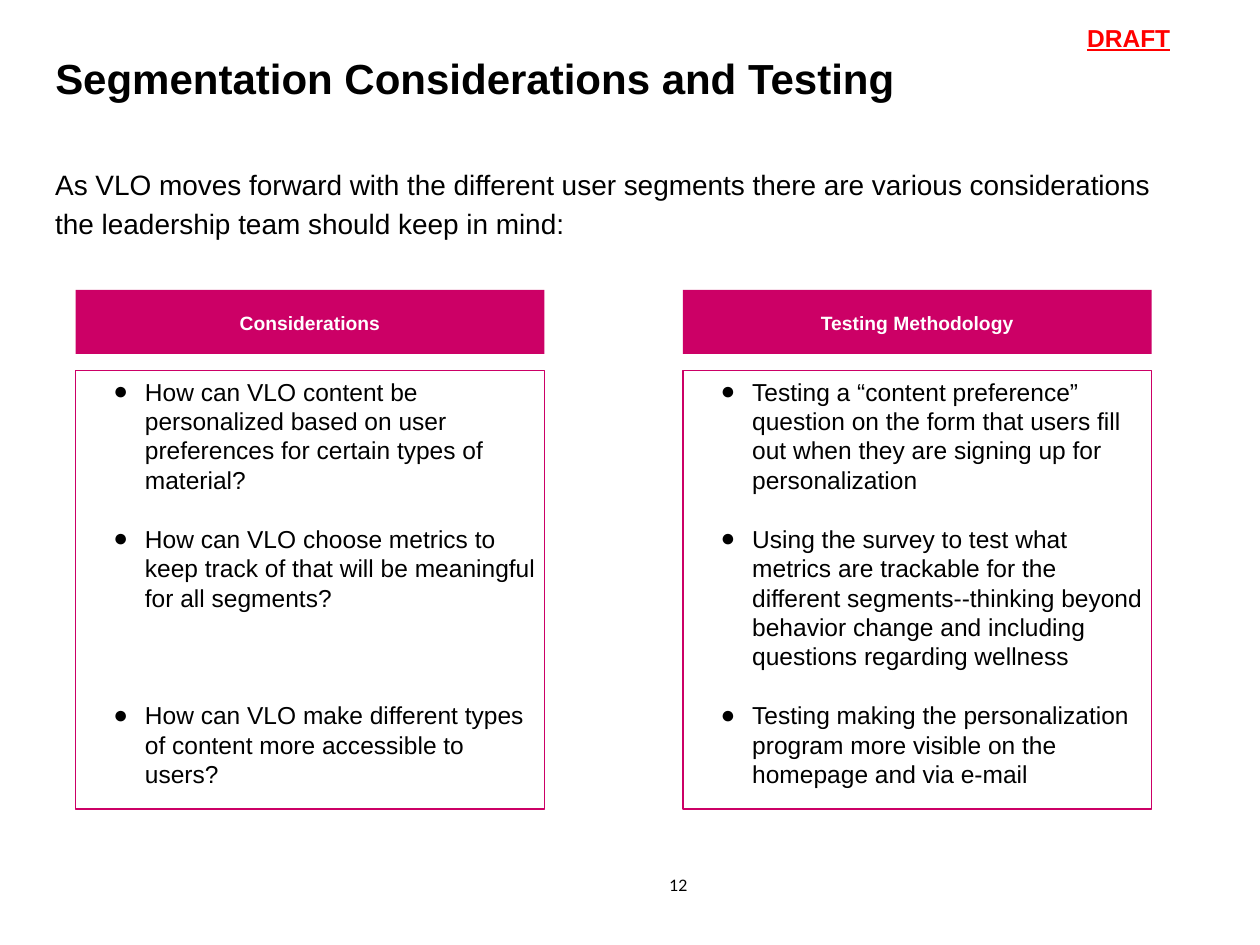
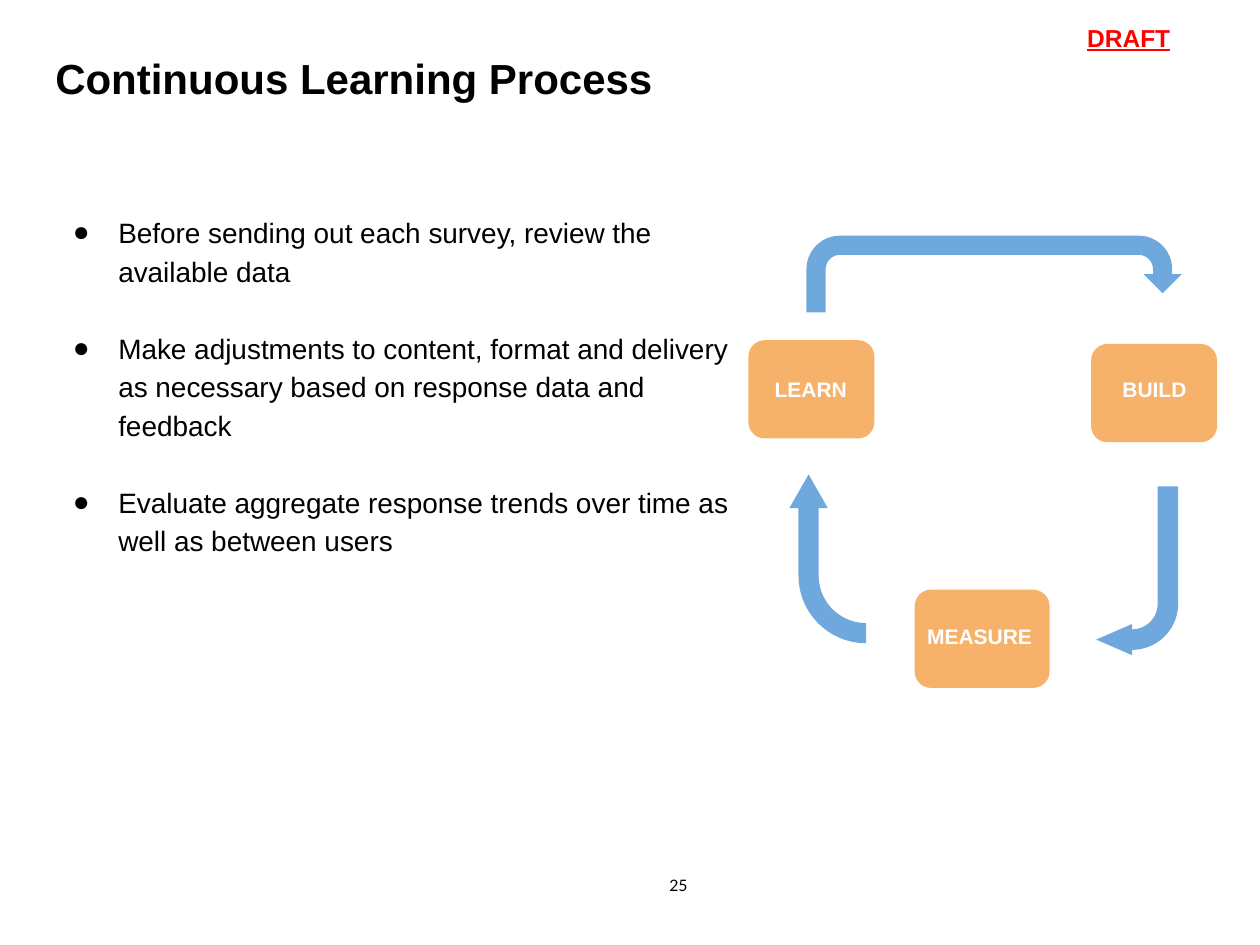
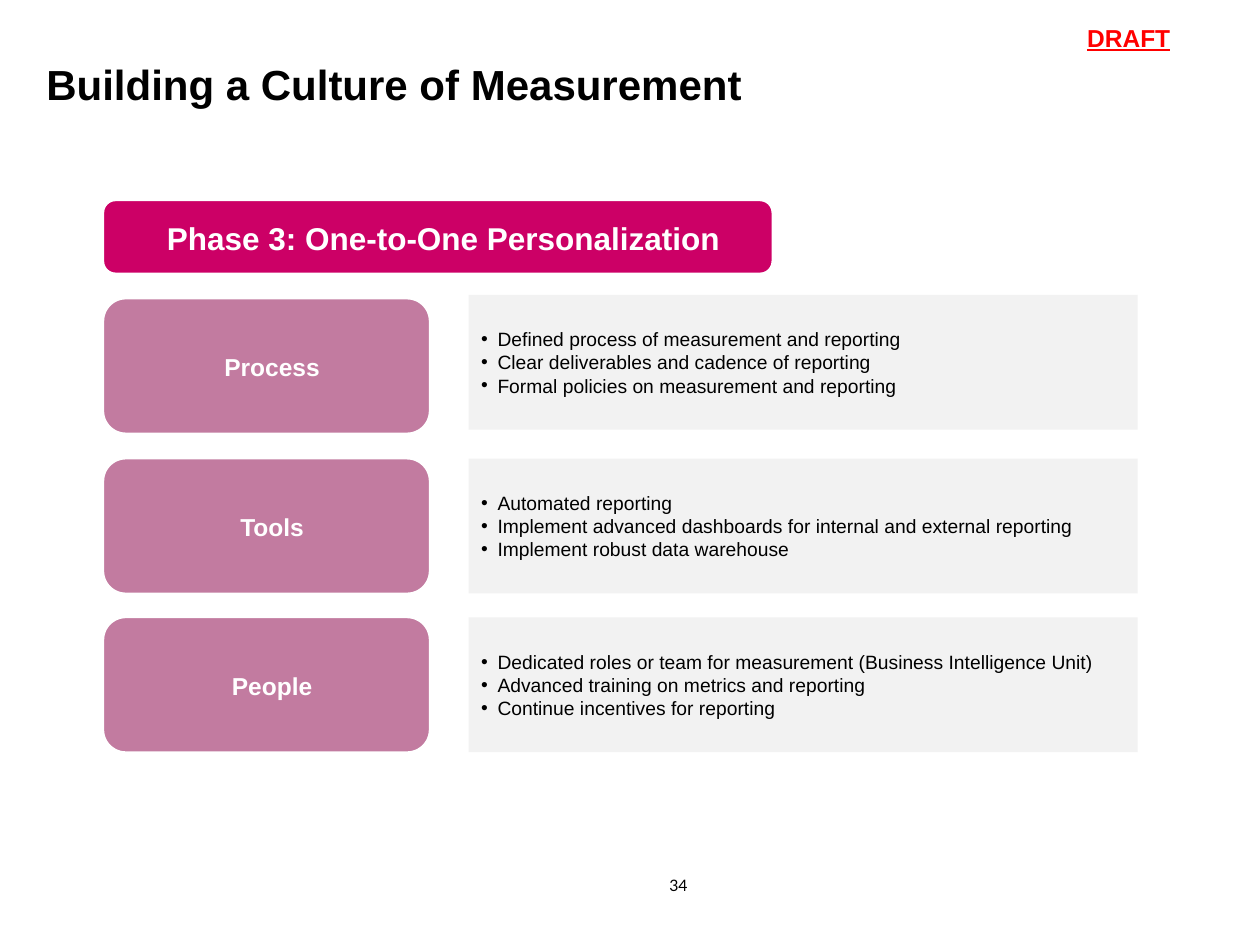
"""Build three slides on segmentation, learning and measurement."""
import pptx
import pptx.dml.color
import pptx.enum.shapes
import pptx.enum.text
import pptx.oxml.ns
import pptx.util
from lxml import etree

Inches = pptx.util.Inches
Pt = pptx.util.Pt
KIND = pptx.enum.shapes.MSO_SHAPE
ALIGN = pptx.enum.text.PP_ALIGN
ANCHOR = pptx.enum.text.MSO_ANCHOR

HUES = {
    "ink": "000000", "white": "FFFFFF", "draft": "FF0000", "pink": "CC0066",
    "mauve": "C27BA0", "pale": "F2F2F2", "amber": "F6B26B", "blue": "6FA8DC",
}
EVEN = (0.1, 0.1, 0.1, 0.1)
FLAT = (0.1, 0.05, 0.1, 0.05)
SLIM = (0.05, 0.05, 0.05, 0.05)
LABEL = (0.18, 0.04, 0.09, 0.04)
ROUND = [0.167]

TOPICS = [
    ("Considerations", [16.8, 50.4], [
        "How can VLO content be personalized based on user preferences for certain types of material?",
        "How can VLO choose metrics to keep track of that will be meaningful for all segments?",
        "How can VLO make different types of content more accessible to users?",
    ]),
    ("Testing Methodology", [16.8, 16.8], [
        "Testing a “content preference” question on the form that users fill out when they are signing up for personalization",
        "Using the survey to test what metrics are trackable for the different segments--thinking beyond behavior change and including questions regarding wellness",
        "Testing making the personalization program more visible on the homepage and via e-mail",
    ]),
]
STEPS = [
    "Before sending out each survey, review the available data",
    "Make adjustments to content, format and delivery as necessary based on response data and feedback",
    "Evaluate aggregate response trends over time as well as between users",
]
STAGES = [
    ("BUILD", (8.66, 2.73, 1, 0.78), (8.81, 2.89, 0.8, 0.52)),
    ("MEASURE", (7.26, 4.68, 1.07, 0.78), (7.26, 4.85, 1.07, 0.45)),
    ("LEARN", (5.94, 2.7, 1, 0.78), (6.05, 2.89, 0.8, 0.52)),
]
ARROWS = [
    (KIND.BENT_ARROW, (5.9, 4.13, 1.34, 0.61), 270, [0.263, 0.25, 0.438, 0.881]),
    (KIND.U_TURN_ARROW, (6.4, 1.87, 2.98, 0.61), 0, [0.25, 0.25, 0.25, 0.438, 0.75]),
    (KIND.BENT_ARROW, (8.7, 3.86, 0.65, 1.34), 180, [0.25, 0.191, 0.438, 0.562]),
]
PILLARS = [
    ("Process", 2.37, 2.34, [
        "Defined process of measurement and reporting",
        "Clear deliverables and cadence of reporting",
        "Formal policies on measurement and reporting",
    ]),
    ("Tools", 3.64, 3.64, [
        "Automated reporting",
        "Implement advanced dashboards for internal and external reporting",
        "Implement robust data warehouse",
    ]),
    ("People", 4.9, 4.9, [
        "Dedicated roles or team for measurement (Business Intelligence Unit)",
        "Advanced training on metrics and reporting",
        "Continue incentives for reporting",
    ]),
]


def style(item, values):
    """Set each named value on an item."""
    for name, value in values.items():
        setattr(item, name, value)


def tint(name):
    """Return the colour with this name."""
    return pptx.dml.color.RGBColor.from_string(HUES[name])


def bullet(para, mark, left, hang):
    """Give a paragraph a bullet and a hanging indent."""
    props = para._p.get_or_add_pPr()
    props.set("marL", str(Inches(left)))
    props.set("indent", str(-Inches(hang)))
    for tag, key, value in (("a:buFont", "typeface", "Arial"), ("a:buChar", "char", mark)):
        etree.SubElement(props, pptx.oxml.ns.qn(tag)).set(key, value)


def write(shape, lines, size, hue="ink", pad=EVEN, anchor=ANCHOR.TOP, align=ALIGN.LEFT,
          space=None, gaps=(), mark=None, face="Arial", **font):
    """Fill a shape with formatted paragraphs."""
    frame = shape.text_frame
    sides = ("margin_left", "margin_top", "margin_right", "margin_bottom")
    style(frame, dict(zip(sides, map(Inches, pad)), word_wrap=True, vertical_anchor=anchor))
    for at, line in enumerate(lines):
        para = frame.paragraphs[0] if at == 0 else frame.add_paragraph()
        style(para, {"alignment": align, "line_spacing": space})
        if at and gaps:
            para.space_before = Pt(gaps[at - 1])
        if mark:
            bullet(para, *mark)
        run = para.add_run()
        run.text = line
        style(run.font, {"name": face, "size": Pt(size), **font})
        run.font.color.rgb = tint(hue)


def note(slide, spot, lines, size, **look):
    """Add a text box."""
    write(slide.shapes.add_textbox(*map(Inches, spot)), lines, size, **look)


def block(slide, kind, spot, fill=None, line=None, width=1, turn=0, bends=()):
    """Add a preset shape with a plain fill and outline."""
    shape = slide.shapes.add_shape(kind, *map(Inches, spot))
    shape.shadow.inherit = False
    shape.rotation = turn
    for at, bend in enumerate(bends):
        shape.adjustments[at] = bend
    if fill:
        shape.fill.solid()
        shape.fill.fore_color.rgb = tint(fill)
    else:
        shape.fill.background()
    if line:
        shape.line.color.rgb = tint(line)
        shape.line.width = Pt(width)
    else:
        shape.line.fill.background()
    return shape


def label(slide, spot, text, size, fill):
    """Add a rounded label with a white outline."""
    shape = block(slide, KIND.ROUNDED_RECTANGLE, spot, fill, "white", bends=ROUND)
    write(shape, [text], size, hue="white", pad=LABEL, anchor=ANCHOR.MIDDLE,
          align=ALIGN.CENTER, space=1.06, bold=True)


def start(deck, title, page, spot=(0.34, 0.32, 9.32, 0.61), **look):
    """Add a slide with its draft stamp, title and page number."""
    slide = deck.slides.add_slide(deck.slide_layouts[6])
    note(slide, (8.53, 0.08, 1.14, 0.41), ["DRAFT"], 14, hue="draft", bold=True, underline=True)
    note(slide, spot, [title], 24, bold=True, **look)
    note(slide, (4.22, 6.9, 2.33, 0.52), [page], 9, pad=FLAT, align=ALIGN.CENTER, face="Lato")
    return slide


def segments(deck):
    """Build the slide of considerations and tests."""
    slide = start(deck, "Segmentation Considerations and Testing", "12")
    intro = ("As VLO moves forward with the different user segments there are "
             "various considerations the leadership team should keep in mind:")
    note(slide, (0.34, 1.19, 9.26, 5.68), [intro], 16, space=1.15)
    for at, (head, gaps, lines) in enumerate(TOPICS):
        left = 0.6 + 4.82 * at
        band = block(slide, KIND.RECTANGLE, (left, 2.3, 3.72, 0.51), "pink")
        write(band, [head], 11, hue="white", pad=SLIM, anchor=ANCHOR.MIDDLE,
              align=ALIGN.CENTER, space=1.06, bold=True)
        box = block(slide, KIND.RECTANGLE, (left, 2.94, 3.72, 3.48), line="pink", width=0.75)
        write(box, lines, 14, pad=SLIM, gaps=gaps, mark=("●", 0.5, 0.25))


def learning(deck):
    """Build the slide of the learning cycle."""
    slide = start(deck, "Continuous Learning Process", "25")
    note(slide, (0.34, 1.3, 5.55, 5.32), STEPS, 16, pad=(0.1, 0.37, 0.1, 0.1),
         space=1.15, gaps=[22, 22], mark=("●", 0.5, 0.36))
    for text, spot, place in STAGES:
        block(slide, KIND.ROUNDED_RECTANGLE, spot, "amber", bends=ROUND)
        note(slide, place, [text], 12, hue="white", bold=True)
    for kind, spot, turn, bends in ARROWS:
        block(slide, kind, spot, "blue", turn=turn, bends=bends)


def culture(deck):
    """Build the slide of measurement pillars."""
    slide = start(deck, "Building a Culture of Measurement", "34",
                  (0.27, 0.41, 9.14, 0.51), pad=FLAT, anchor=ANCHOR.MIDDLE)
    for name, top, side, lines in PILLARS:
        label(slide, (0.82, top, 2.59, 1.07), name, 14, "mauve")
        panel = block(slide, KIND.RECTANGLE, (3.72, side, 5.31, 1.07), "pale")
        write(panel, lines, 11, pad=FLAT, anchor=ANCHOR.MIDDLE, mark=("•", 0.13, 0.13))
    label(slide, (0.82, 1.59, 5.31, 0.58), "Phase 3: One-to-One Personalization", 18, "pink")


def main():
    """Build and save the deck."""
    deck = pptx.Presentation()
    style(deck, {"slide_width": Inches(10), "slide_height": Inches(7.5)})
    segments(deck)
    learning(deck)
    culture(deck)
    deck.save("out.pptx")


if __name__ == "__main__":
    main()
